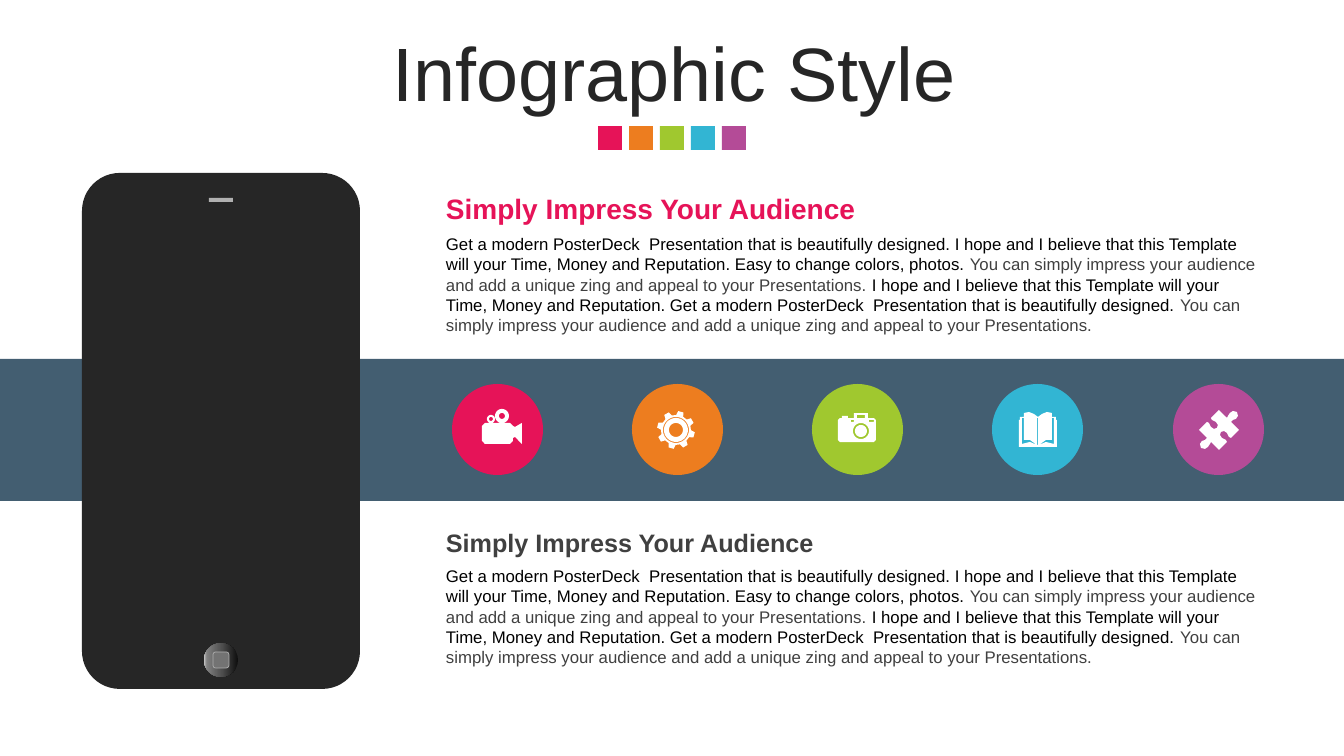
import copy
import math

import pptx
import pptx.dml.color
import pptx.enum.shapes
import pptx.enum.text
import pptx.oxml.ns
import pptx.util

RGB = pptx.dml.color.RGBColor
KIND = pptx.enum.shapes.MSO_SHAPE
FIT = pptx.enum.text.MSO_AUTO_SIZE
SCALE = 914400 / 100.8

PINK = RGB(0xE6, 0x13, 0x58)
ORANGE = RGB(0xED, 0x7D, 0x1F)
GREEN = RGB(0xA0, 0xC8, 0x2F)
BLUE = RGB(0x32, 0xB5, 0xD3)
PURPLE = RGB(0xB4, 0x4B, 0x97)
SLATE = RGB(0x43, 0x5E, 0x71)
DARK = RGB(0x26, 0x26, 0x26)
GREY = RGB(0x40, 0x40, 0x40)
SILVER = RGB(0xB0, 0xB0, 0xB0)
STEEL = RGB(0x73, 0x73, 0x73)
BLACK = RGB(0, 0, 0)
WHITE = RGB(0xFF, 0xFF, 0xFF)
HUES = (PINK, ORANGE, GREEN, BLUE, PURPLE)
SHEEN = (
    (0, RGB(0x0F, 0x0F, 0x0F)),
    (0.56, RGB(0x59, 0x59, 0x59)),
    (0.91, RGB(0x80, 0x80, 0x80)),
    (1, RGB(0xBF, 0xBF, 0xBF)),
)

HEAD = "Simply Impress Your Audience"
MODERN = "Get a modern PosterDeck  Presentation that is beautifully designed. "
HOPE = "I hope and I believe that this Template will your Time, Money and Reputation. "
EASY = "Easy to change colors, photos. "
ZING = "You can simply impress your audience and add a unique zing and appeal to your Presentations."
BODY = (
    (MODERN + HOPE + EASY, BLACK),
    (ZING + " ", GREY),
    (HOPE + MODERN, BLACK),
    (ZING, GREY),
)


def px(num):
    return pptx.util.Emu(round(num * SCALE))


def paint(shape, color):
    shape.shadow.inherit = False
    shape.fill.solid()
    shape.fill.fore_color.rgb = color
    shape.line.fill.background()
    return shape


def block(slide, kind, area, color):
    return paint(slide.shapes.add_shape(kind, *map(px, area)), color)


def shine(shape):
    shape.fill.gradient()
    shape.fill.gradient_angle = 180
    stops = shape.element.spPr.find(".//" + pptx.oxml.ns.qn("a:gsLst"))
    for _ in range(len(SHEEN) - len(stops)):
        stops.append(copy.deepcopy(stops[0]))
    for stop, (place, color) in zip(shape.fill.gradient_stops, SHEEN):
        stop.position = place
        stop.color.rgb = color


def text(slide, area, size, runs, bold=False):
    frame = slide.shapes.add_textbox(*map(px, area)).text_frame
    frame.word_wrap = True
    frame.auto_size = FIT.SHAPE_TO_FIT_TEXT
    para = frame.paragraphs[0]
    para.font.name = "Arial"
    para.font.size = pptx.util.Pt(size)
    para.font.bold = bold
    for words, color in runs:
        run = para.add_run()
        run.text = words
        run.font.color.rgb = color


def icon(slide, loops):
    pen = None
    for loop in loops:
        spots = [(px(x), px(y)) for x, y in loop]
        if pen is None:
            pen = slide.shapes.build_freeform(*spots[0], scale=1.0)
        else:
            pen.move_to(*spots[0])
        pen.add_line_segments(spots[1:], close=True)
    paint(pen.convert_to_shape(), WHITE)


def polar(x, y, r, turn):
    turn = math.radians(turn)
    return x + r * math.sin(turn), y - r * math.cos(turn)


def ring(x, y, r):
    return [polar(x, y, r, turn) for turn in range(0, 360, 10)]


def box(x, y, w, h):
    return [(x, y), (x + w, y), (x + w, y + h), (x, y + h)]


def flip(loop, axis):
    return [(2 * axis - x, y) for x, y in reversed(loop)]


def film(slide):
    case = [(485, 423), (510, 423), (513, 426), (515, 427), (522, 423),
            (522, 444), (515, 437), (513, 438), (513, 441), (510, 444),
            (485, 444), (482, 441), (482, 426)]
    icon(slide, [case, ring(502, 416, 7), ring(502, 416, 3),
                 ring(491, 419, 4), ring(491, 419, 2)])


def gear(slide):
    x, y = 676, 430
    tooth = ((-14, 15), (-8, 19), (8, 19), (14, 15))
    rim = [polar(x, y, r, mid + turn)
           for mid in range(15, 375, 45) for turn, r in tooth]
    icon(slide, [rim] + [ring(x, y, r) for r in (13, 12, 7)])


def camera(slide):
    case = [(840, 418), (842, 418), (842, 416), (848, 416), (848, 418),
            (854, 418), (854, 413), (868, 413), (868, 418), (874, 418),
            (876, 420), (876, 440), (874, 442), (840, 442), (838, 440),
            (838, 420)]
    icon(slide, [case, ring(861, 431, 8), ring(861, 431, 6),
                 box(857, 415, 8, 3), box(851, 420, 3, 2), box(869, 420, 5, 2)])


def book(slide):
    mid = 1038
    half = [(1019, 447), (1019, 420), (1020, 420), (1020, 417), (1024, 417),
            (1024, 413), (1029, 412), (1034, 414), (mid, 417)]
    page = [(1022, 418), (1024, 418), (1024, 440), (1030, 440), (1037, 445),
            (1030, 442), (1022, 444)]
    icon(slide, [half + flip(half, mid), page, flip(page, mid),
                 box(1037, 418, 1, 27)])


def puzzle(slide):
    x, y = 1219, 430
    half = [(0, -20), (8, -12), (9, -14), (11, -17), (14, -19), (18, -18),
            (19, -14), (17, -11), (14, -10), (12, -8), (20, 0), (12, 8),
            (10, 7), (8, 3), (5, 1), (2, 2), (1, 5), (3, 8), (7, 10), (8, 12)]
    icon(slide, [[(x + side * a, y + side * b)
                  for side in (1, -1) for a, b in half]])


def phone(slide):
    case = block(slide, KIND.ROUNDED_RECTANGLE, (82, 173, 278, 516), DARK)
    case.adjustments[0] = 0.136
    block(slide, KIND.RECTANGLE, (209, 198, 24, 4), SILVER)
    shine(block(slide, KIND.OVAL, (204, 643, 34, 34), DARK))
    key = block(slide, KIND.ROUNDED_RECTANGLE, (213, 652, 16, 16), STEEL)
    key.line.color.rgb = SILVER
    key.line.width = pptx.util.Pt(0.5)


def title(slide):
    shape = slide.shapes.title
    shape.left, shape.top, shape.width, shape.height = map(px, (36, 37, 1276, 80))
    frame = shape.text_frame
    frame.text = "Infographic Style"
    frame.auto_size = FIT.NONE
    frame.vertical_anchor = pptx.enum.text.MSO_ANCHOR.MIDDLE
    para = frame.paragraphs[0]
    para.alignment = pptx.enum.text.PP_ALIGN.CENTER
    para.line_spacing = 0.9
    para.space_before = pptx.util.Pt(0)
    para.font.name = "Arial"
    para.font.size = pptx.util.Pt(54)
    para.font.color.rgb = DARK


def main():
    deck = pptx.Presentation()
    deck.slide_width, deck.slide_height = px(1344), px(756)
    slide = deck.slides.add_slide(deck.slide_layouts[5])
    title(slide)
    block(slide, KIND.RECTANGLE, (0, 359, 1344, 142), SLATE)
    phone(slide)
    for i, hue in enumerate(HUES):
        block(slide, KIND.RECTANGLE, (598 + 31 * i, 126, 24, 24), hue)
        block(slide, KIND.OVAL, (452 + 721 * i // 4, 384, 91, 91), hue)
    for top, gap, high, size, hue in ((187, 42, 44, 20, PINK), (522, 39, 40, 18, GREY)):
        text(slide, (436, top, 837, high), size, [(HEAD, hue)], True)
        text(slide, (436, top + gap, 837, 112), 12, BODY)
    for draw in (film, gear, camera, book, puzzle):
        draw(slide)
    deck.save("out.pptx")


if __name__ == "__main__":
    main()
